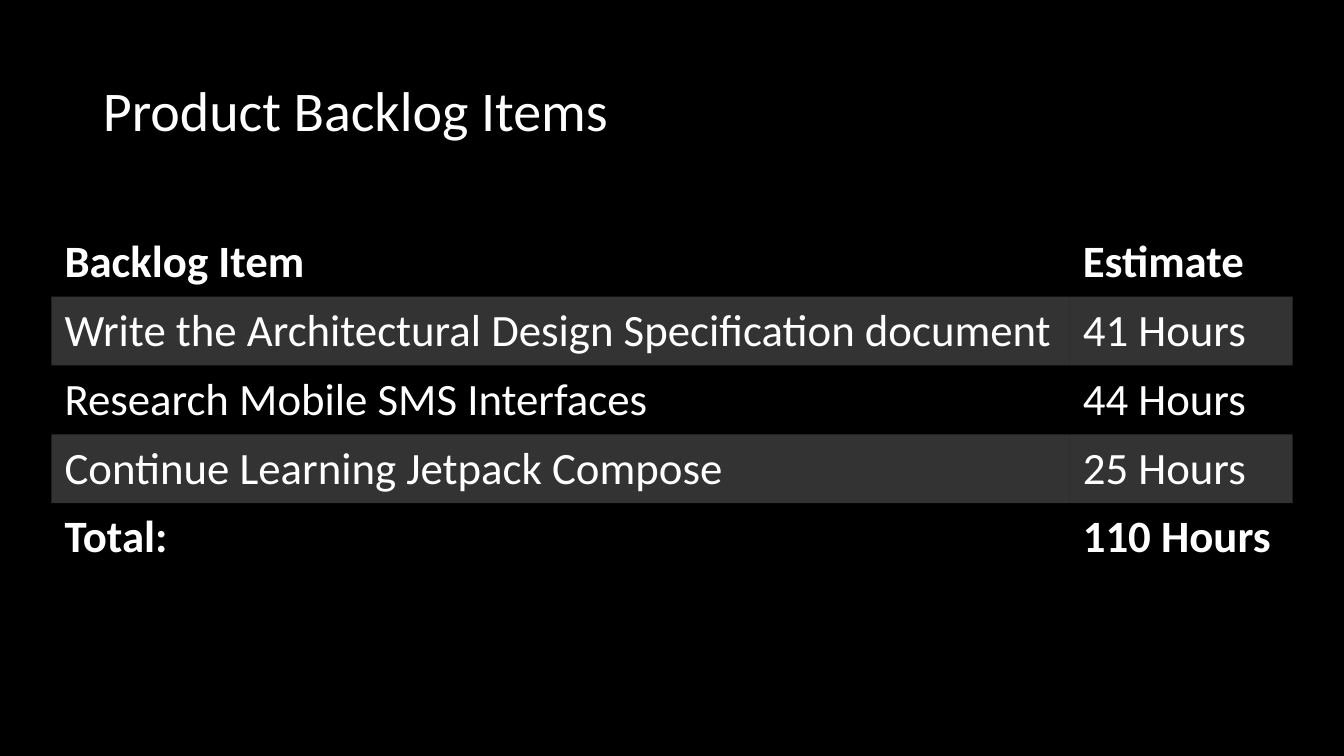
from lxml import etree
from pptx import Presentation
from pptx.dml.color import RGBColor
from pptx.enum import text
from pptx.oxml import ns
from pptx.util import Inches, Pt

COLORS = {"background": "000000", "text": "FFFFFF", "band": "FFFFFF"}
FONT = "Calibri"
BAND_OPACITY = 20
PLAIN_TABLE_STYLE = "{2D5ABB26-0587-4C30-8999-92F81FD0307C}"

BACKLOG = [
    ("Backlog Item", "Estimate"),
    ("Write the Architectural Design Specification document", "41 Hours"),
    ("Research Mobile SMS Interfaces", "44 Hours"),
    ("Continue Learning Jetpack Compose", "25 Hours"),
    ("Total:", "110 Hours"),
]
COLUMN_WIDTHS = (10.1, 2.21)
ROW_HEIGHT = 0.67


def color(name):
    return RGBColor.from_string(COLORS[name])


def format_font(p, size, bold=False):
    for r in p.runs:
        r.font.name = FONT
        r.font.size = Pt(size)
        r.font.bold = bold
        r.font.color.rgb = color("text")


def add_title(s, title):
    sp = s.shapes.title
    sp.left, sp.top = Inches(0.92), Inches(0.63)
    sp.width, sp.height = Inches(7.14), Inches(0.85)
    tf = sp.text_frame
    tf.text = title
    tf.vertical_anchor = text.MSO_ANCHOR.BOTTOM
    p = tf.paragraphs[0]
    p.alignment = text.PP_ALIGN.LEFT
    p.line_spacing = 0.9
    format_font(p, 40)


def fill_band(cell):
    """Give a cell the translucent fill of a banded row."""
    cell.fill.solid()
    cell.fill.fore_color.rgb = color("band")
    rgb = cell._tc.tcPr.find(".//" + ns.qn("a:srgbClr"))
    etree.SubElement(rgb, ns.qn("a:alpha"), val=str(BAND_OPACITY * 1000))


def format_cell(cell, value, bold, banded):
    cell.margin_left = cell.margin_right = Inches(0.13)
    cell.margin_top = cell.margin_bottom = Inches(0.07)
    cell.text_frame.text = value
    format_font(cell.text_frame.paragraphs[0], 32, bold)
    if banded:
        fill_band(cell)
    else:
        cell.fill.background()


def add_backlog_table(s, rows):
    table = s.shapes.add_table(
        len(rows), len(COLUMN_WIDTHS), Inches(0.51), Inches(2.26),
        Inches(sum(COLUMN_WIDTHS)), Inches(ROW_HEIGHT * len(rows))).table
    table.first_row = table.horz_banding = False
    table._tbl.tblPr.find(ns.qn("a:tableStyleId")).text = PLAIN_TABLE_STYLE
    for column, width in zip(table.columns, COLUMN_WIDTHS):
        column.width = Inches(width)
    for i, values in enumerate(rows):
        table.rows[i].height = Inches(ROW_HEIGHT)
        bold = i in (0, len(rows) - 1)
        for j, value in enumerate(values):
            format_cell(table.cell(i, j), value, bold, banded=i % 2 == 1)


def main():
    prs = Presentation()
    prs.slide_width, prs.slide_height = Inches(13.33), Inches(7.5)
    s = prs.slides.add_slide(prs.slide_layouts[5])
    s.background.fill.solid()
    s.background.fill.fore_color.rgb = color("background")
    add_title(s, "Product Backlog Items")
    add_backlog_table(s, BACKLOG)
    prs.save("out.pptx")


if __name__ == "__main__":
    main()
